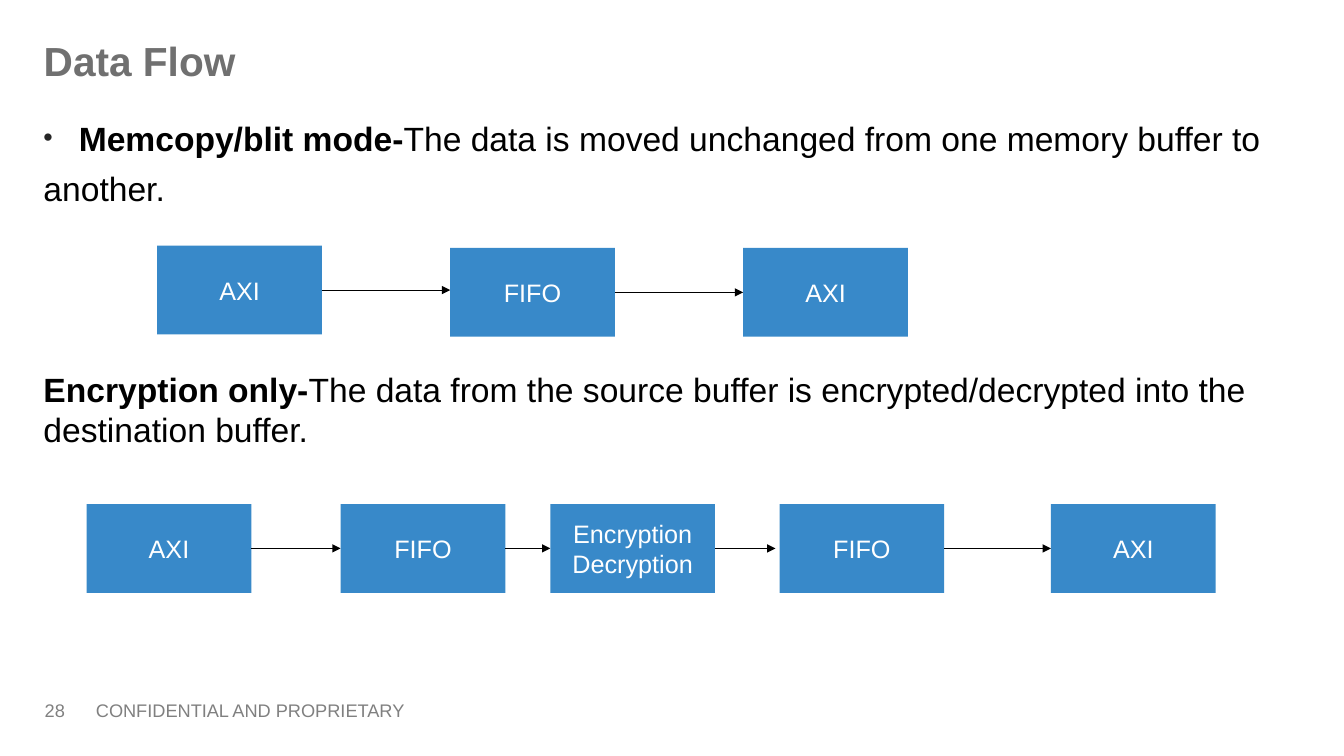
from pptx import Presentation
from pptx.dml.color import RGBColor as Rgb
from pptx.enum.shapes import MSO_CONNECTOR as Link, MSO_SHAPE as Kind
from pptx.enum.text import MSO_ANCHOR as Anchor, PP_ALIGN as Align
from pptx.oxml.ns import qn
from pptx.util import Inches, Pt
from lxml.etree import SubElement as Sub

deck = Presentation()
deck.slide_width, deck.slide_height = Inches(13.333), Inches(7.5)
wide, high = deck.slide_width / 100, deck.slide_height / 100
slide = deck.slides.add_slide(deck.slide_layouts[5])
shapes = slide.shapes


def area(x, y, w, h):
    return round(x * wide), round(y * high), round(w * wide), round(h * high)


def style(run, size, color, bold=False):
    font = run.font
    font.name, font.size, font.bold = "Arial", Pt(size), bold
    font.color.rgb = Rgb.from_string(color)


title = shapes.title
title.left, title.top, title.width, title.height = area(2.5, 4.1, 95.6, 9.6)
frame = title.text_frame
frame.text = "Data Flow"
frame.vertical_anchor = Anchor.TOP
frame.paragraphs[0].alignment = Align.LEFT
style(frame.paragraphs[0].runs[0], 29, "707070", True)

body = shapes.add_textbox(*area(2.5, 14.9, 95.6, 68)).text_frame
body.word_wrap = True
modes = [
    ("Memcopy/blit mode-", "The data is moved unchanged from one memory buffer to", 6),
    ("", "another.", 6.5),
    ("Encryption only-", "The data from the source buffer is encrypted/decrypted into the destination buffer.", 113.5),
]
for i, (name, text, gap) in enumerate(modes):
    para = body.paragraphs[0] if i == 0 else body.add_paragraph()
    para.space_before, para.space_after = Pt(gap), Pt(0.8)
    for part, bold in ((name, True), (text, False)):
        if part:
            run = para.add_run()
            run.text = part
            style(run, 24, "000000", bold)

props = body.paragraphs[0]._p.get_or_add_pPr()
props.set("marL", str(Inches(0.35)))
props.set("indent", str(-Inches(0.35)))
tint = Sub(props, qn("a:buClr"))
Sub(tint, qn("a:srgbClr"), val="262626")
Sub(props, qn("a:buSzPct"), val="80000")
Sub(props, qn("a:buFont"), typeface="Arial")
Sub(props, qn("a:buChar"), char="•")

box_w, box_h = 12.25, 11.75
flows = [
    [("AXI", 11.7, 32.5, 33.5), ("FIFO", 33.5, 32.8, 55.3), ("AXI", 55.3, 32.8, None)],
    [
        ("AXI", 6.45, 66.67, 25.35),
        ("FIFO", 25.35, 66.67, 40.95),
        ("Encryption\nDecryption", 40.95, 66.67, 57.7),
        ("FIFO", 58, 66.67, 78.2),
        ("AXI", 78.2, 66.67, None),
    ],
]
for flow in flows:
    for label, x, y, stop in flow:
        box = shapes.add_shape(Kind.RECTANGLE, *area(x, y, box_w, box_h))
        box.shadow.inherit = False
        box.fill.solid()
        box.fill.fore_color.rgb = Rgb.from_string("3889C9")
        box.line.fill.background()
        frame = box.text_frame
        frame.text = label
        frame.vertical_anchor = Anchor.MIDDLE
        for para in frame.paragraphs:
            para.alignment = Align.CENTER
            style(para.runs[0], 18, "FFFFFF")
        if stop:
            left, mid, right, _ = area(x + box_w, y + box_h / 2, stop, 0)
            arrow = shapes.add_connector(Link.STRAIGHT, left, mid, right, mid)
            arrow.line.color.rgb = Rgb.from_string("000000")
            arrow.line.width = Pt(0.75)
            Sub(arrow.line._get_or_add_ln(), qn("a:tailEnd"), type="triangle")
            Sub(arrow._element.spPr, qn("a:effectLst"))

notes = [
    ("28", (2.8, 91.9, 4.9, 4), 0.07, 0.04, Anchor.MIDDLE),
    ("CONFIDENTIAL AND PROPRIETARY", (6.4, 91.9, 29.85, 4.5), 0.1, 0.05, Anchor.TOP),
]
for text, place, side, edge, anchor in notes:
    frame = shapes.add_textbox(*area(*place)).text_frame
    frame.word_wrap = True
    frame.margin_left = frame.margin_right = Inches(side)
    frame.margin_top = frame.margin_bottom = Inches(edge)
    frame.vertical_anchor = anchor
    frame.text = text
    style(frame.paragraphs[0].runs[0], 13, "808080")

deck.save("out.pptx")
